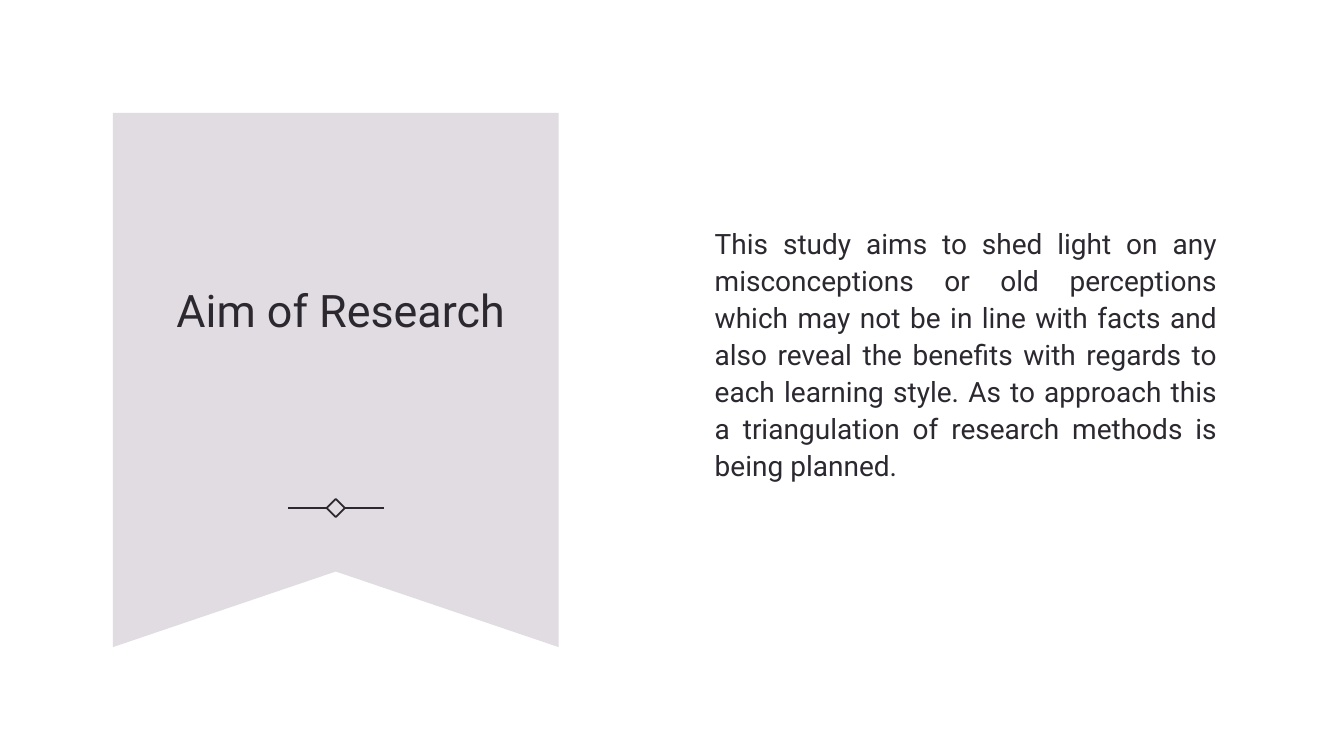
import pptx
import pptx.dml.color
import pptx.enum.shapes
import pptx.enum.text
import pptx.util
from dataclasses import dataclass
from lxml import etree
from pptx.oxml.ns import qn

Inches = pptx.util.Inches
Align = pptx.enum.text.PP_ALIGN


@dataclass(frozen=True)
class Theme:
    paper: str = "FFFFFF"
    banner: str = "E0DCE1"
    ink: str = "2C2830"
    font: str = "Roboto"
    title_size: int = 32
    body_size: int = 20
    line_width: float = 1.25
    line_spacing: float = 1.1


THEME = Theme()


def color(value):
    return pptx.dml.color.RGBColor.from_string(value)


def style_line(part):
    part.line.color.rgb = color(THEME.ink)
    part.line.width = pptx.util.Pt(THEME.line_width)


def add_text(page, text, box, *, size, align, space_before=0):
    left, top, width, height = box
    shape = page.shapes.add_textbox(Inches(left), Inches(top), Inches(width), Inches(height))
    frame = shape.text_frame
    frame.word_wrap = True
    frame.vertical_anchor = pptx.enum.text.MSO_ANCHOR.MIDDLE
    para = frame.paragraphs[0]
    para.alignment = align
    para.line_spacing = THEME.line_spacing
    para.space_before = pptx.util.Pt(space_before)
    span = para.add_run()
    span.text = text
    span.font.name = THEME.font
    span.font.size = pptx.util.Pt(size)
    span.font.color.rgb = color(THEME.ink)


def add_ornament(page, box):
    """Diamond between two short rules, filling the box."""
    left, top, width, height = box
    center, middle = left + width / 2, top + height / 2

    # Diamond
    diamond = page.shapes.add_shape(
        pptx.enum.shapes.MSO_SHAPE.DIAMOND,
        Inches(center - height / 2), Inches(top), Inches(height), Inches(height))
    diamond.shadow.inherit = False
    diamond.fill.background()
    style_line(diamond)

    # Rules on both sides
    for side in (-1, 1):
        rule = page.shapes.add_connector(
            pptx.enum.shapes.MSO_CONNECTOR.STRAIGHT,
            Inches(center + side * height / 2), Inches(middle),
            Inches(center + side * width / 2), Inches(middle))
        style_line(rule)
        etree.SubElement(rule._element.spPr, qn("a:effectLst"))


def add_banner(page, box, title):
    """Ribbon with a notched foot, its title and its ornament."""
    left, top, width, height = box
    right, bottom, notch = left + width, top + height, 0.75

    # Ribbon
    outline = page.shapes.build_freeform(Inches(left), Inches(top), scale=1.0)
    corners = [(right, top), (right, bottom), (left + width / 2, bottom - notch), (left, bottom)]
    outline.add_line_segments([(Inches(x), Inches(y)) for x, y in corners], close=True)
    ribbon = outline.convert_to_shape()
    ribbon.shadow.inherit = False
    ribbon.fill.solid()
    ribbon.fill.fore_color.rgb = color(THEME.banner)
    ribbon.line.fill.background()

    # Ornament and title
    add_ornament(page, (left + width / 2 - 0.475, top + 3.83, 0.95, 0.18))
    add_text(page, title, (left + 0.42, top + 0.36, 3.68, 3.14),
             size=THEME.title_size, align=Align.CENTER)


def add_body(page, box, text):
    add_text(page, text, box, size=THEME.body_size, align=Align.JUSTIFY, space_before=10)


def main():
    deck = pptx.Presentation()
    deck.slide_width, deck.slide_height = Inches(13.33), Inches(7.5)
    page = deck.slides.add_slide(deck.slide_layouts[6])
    page.background.fill.solid()
    page.background.fill.fore_color.rgb = color(THEME.paper)

    add_banner(page, (1.12, 1.12, 4.42, 5.3), "Aim of Research")
    add_body(page, (6.99, 0.79, 5.18, 5.42),
             "This study aims to shed light on any misconceptions or old perceptions "
             "which may not be in line with facts and also reveal the benefits with "
             "regards to each learning style. As to approach this a triangulation of "
             "research methods is being planned.")
    deck.save("out.pptx")


if __name__ == "__main__":
    main()
